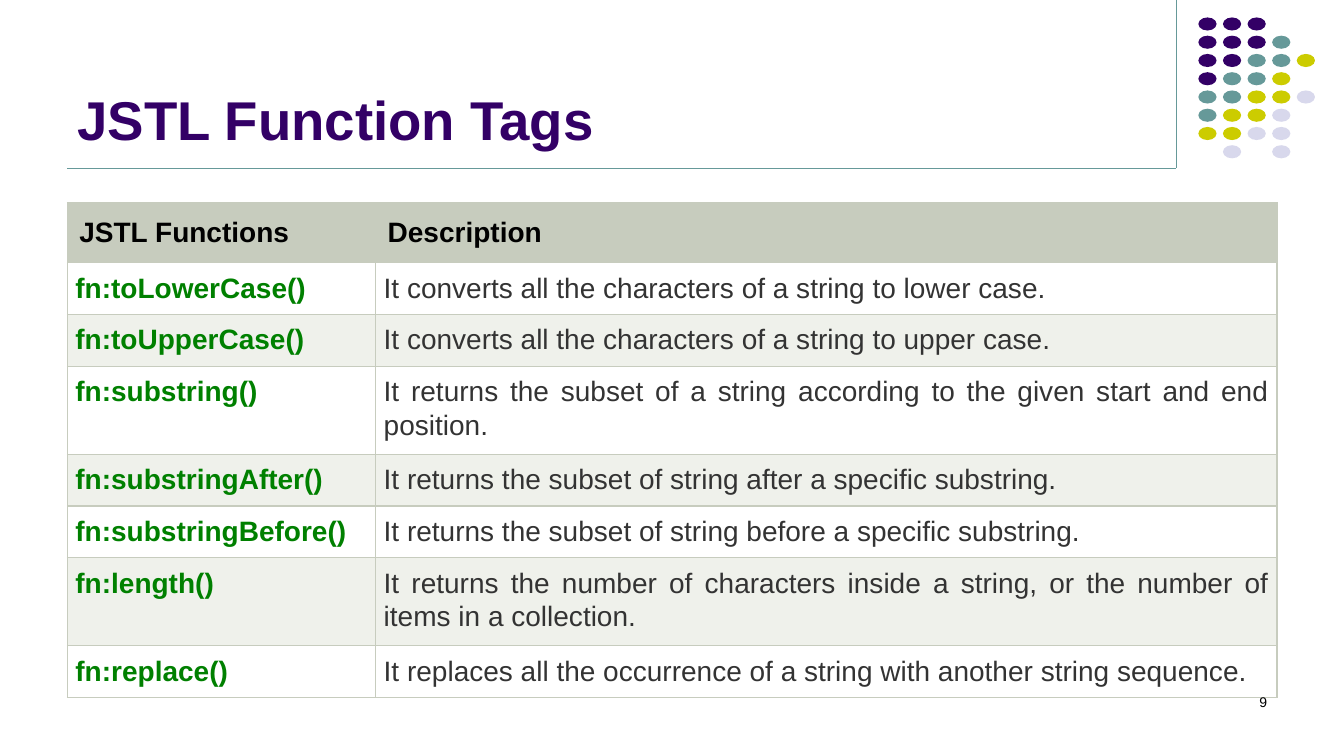
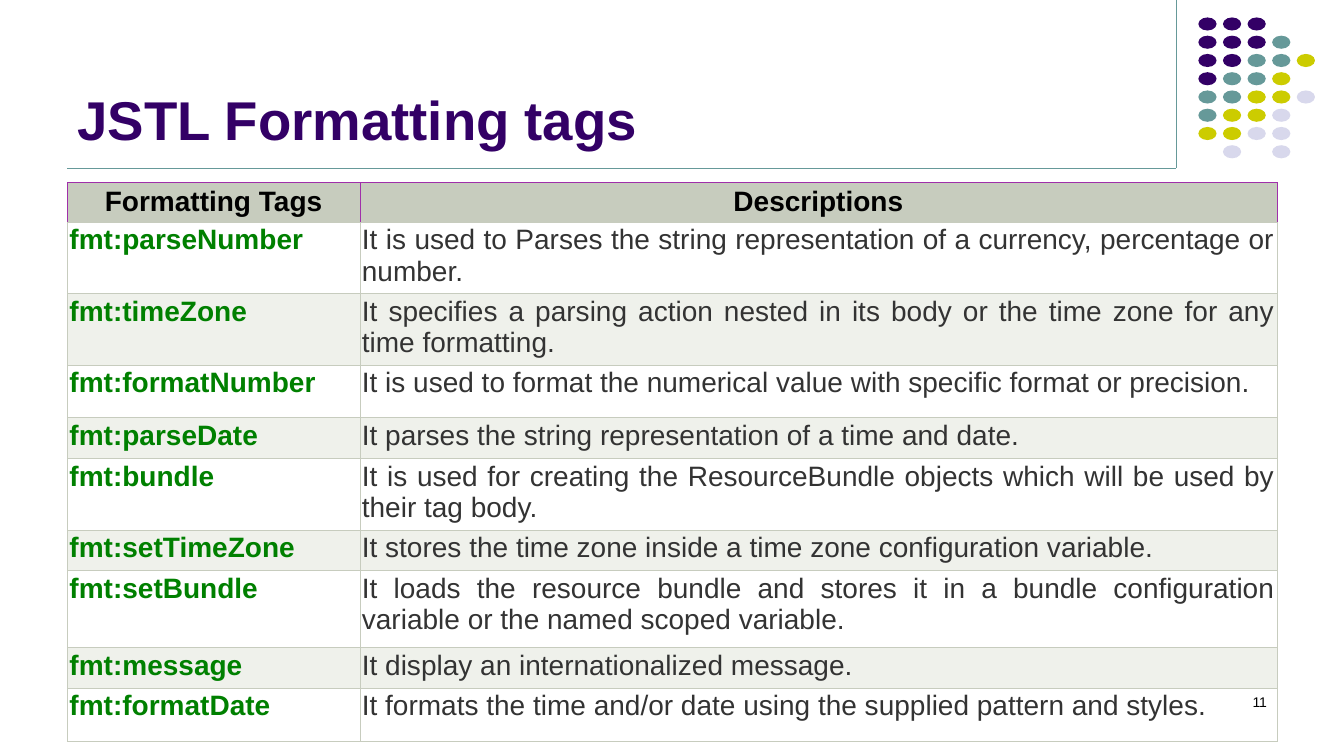
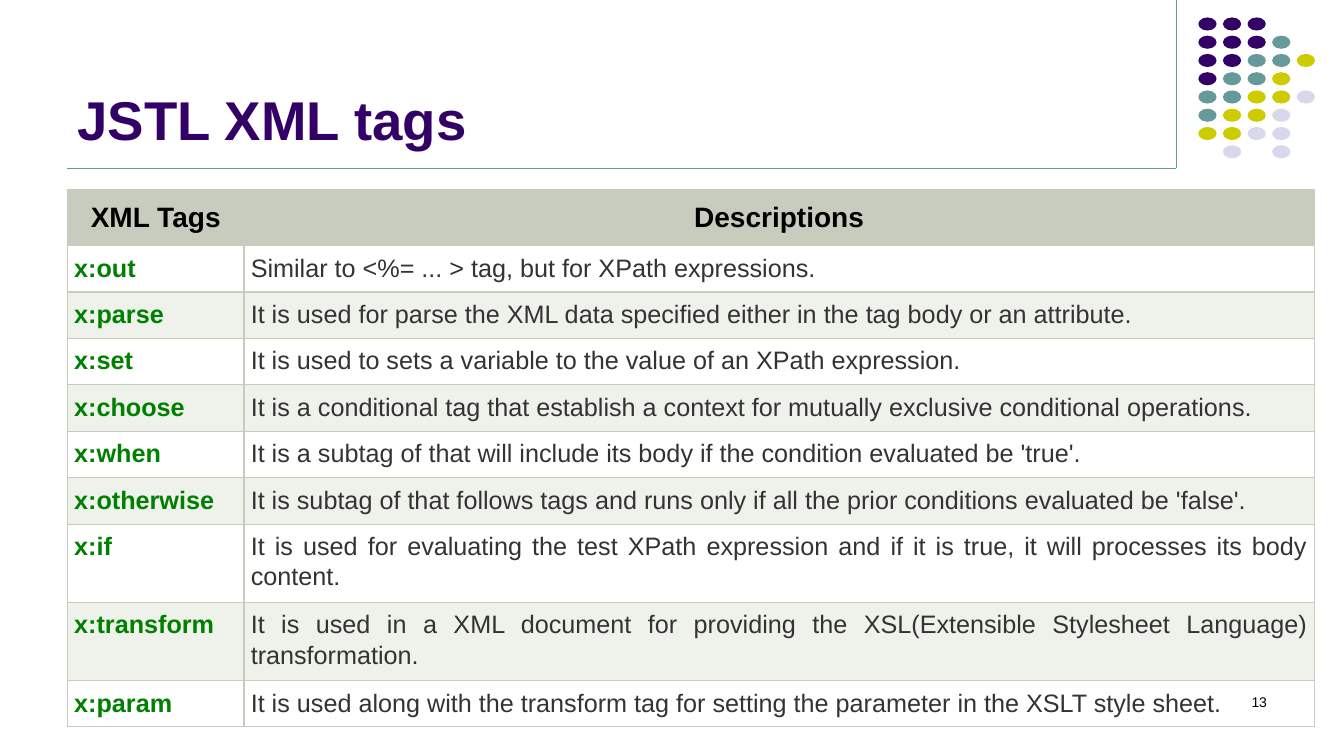
from lxml import etree
from pptx import Presentation
from pptx.dml.color import RGBColor
from pptx.enum import shapes, text
from pptx.oxml import ns
from pptx.util import Cm, Pt

FONT = "Arial"
PURPLE, TEAL, OLIVE, LAVENDER = "330066", "669999", "CCCC00", "D8D8EC"
SAGE, BAND, WHITE, BLACK = "C7CCBE", "EFF1EB", "FFFFFF", "000000"
GREEN, GREY, MAGENTA = "008000", "333333", "A02FAA"

LEFT, RULE_X, RULE_Y = 1.7, 29.64, 4.24
DOT_COLORS = {"P": PURPLE, "T": TEAL, "Y": OLIVE, "L": LAVENDER}
DOT_ROWS = ["PPP", "PPPT", "PPTTY", "PTTY", "TTYYL", "TYYL", "YYLL", " L L"]

SLIDES = [
    {
        "title": "JSTL Function Tags", "number": "9", "top": 5.11,
        "widths": [7.77, 22.71], "heights": [1.49, 1.27, 1.27, 2.11, 1.27, 1.27, 2.11, 1.27],
        "insets": [0.3, 0.2], "size": 20, "spacing": 1.07, "border": 1,
        "header_edge": SAGE, "header_align": text.PP_ALIGN.LEFT,
        "rows": [
            ("JSTL Functions", "Description"),
            ("fn:toLowerCase()", "It converts all the characters of a string to lower case."),
            ("fn:toUpperCase()", "It converts all the characters of a string to upper case."),
            ("fn:substring()", "It returns the subset of a string according to the given start and end position."),
            ("fn:substringAfter()", "It returns the subset of string after a specific substring."),
            ("fn:substringBefore()", "It returns the subset of string before a specific substring."),
            ("fn:length()", "It returns the number of characters inside a string, or the number of items in a collection."),
            ("fn:replace()", "It replaces all the occurrence of a string with another string sequence."),
        ],
    },
    {
        "title": "JSTL Formatting tags", "number": "11", "top": 4.6,
        "widths": [7.37, 23.11],
        "heights": [0.97, 1.68, 1.68, 1.33, 1.03, 1.68, 1.03, 1.94, 1.03, 1.33],
        "insets": [0.08, 0.05], "size": 20, "spacing": 1.0, "border": 0.5,
        "header_edge": MAGENTA, "header_align": text.PP_ALIGN.CENTER,
        "rows": [
            ("Formatting Tags", "Descriptions"),
            ("fmt:parseNumber", "It is used to Parses the string representation of a currency, percentage or number."),
            ("fmt:timeZone", "It specifies a parsing action nested in its body or the time zone for any time formatting."),
            ("fmt:formatNumber", "It is used to format the numerical value with specific format or precision."),
            ("fmt:parseDate", "It parses the string representation of a time and date."),
            ("fmt:bundle", "It is used for creating the ResourceBundle objects which will be used by their tag body."),
            ("fmt:setTimeZone", "It stores the time zone inside a time zone configuration variable."),
            ("fmt:setBundle", "It loads the resource bundle and stores it in a bundle configuration variable or the named scoped variable."),
            ("fmt:message", "It display an internationalized message."),
            ("fmt:formatDate", "It formats the time and/or date using the supplied pattern and styles."),
        ],
    },
    {
        "title": "JSTL XML tags", "number": "13", "top": 4.78,
        "widths": [4.45, 26.97], "heights": [1.32] + [1.17] * 6 + [1.86, 1.86, 1.09],
        "insets": [0.25, 0.17], "size": 18, "spacing": 1.07, "border": 1,
        "header_edge": SAGE, "header_align": text.PP_ALIGN.CENTER,
        "rows": [
            ("XML Tags", "Descriptions"),
            ("x:out", "Similar to <%= ... > tag, but for XPath expressions."),
            ("x:parse", "It is used for parse the XML data specified either in the tag body or an attribute."),
            ("x:set", "It is used to sets a variable to the value of an XPath expression."),
            ("x:choose", "It is a conditional tag that establish a context for mutually exclusive conditional operations."),
            ("x:when", "It is a subtag of that will include its body if the condition evaluated be 'true'."),
            ("x:otherwise", "It is subtag of that follows tags and runs only if all the prior conditions evaluated be 'false'."),
            ("x:if", "It is used for evaluating the test XPath expression and if it is true, it will processes its body content."),
            ("x:transform", "It is used in a XML document for providing the XSL(Extensible Stylesheet Language) transformation."),
            ("x:param", "It is used along with the transform tag for setting the parameter in the XSLT style sheet."),
        ],
    },
]


def paint(target, color):
    """Give a fill or a font a solid hex colour."""
    if hasattr(target, "solid"):
        target.solid()
        target = target.fore_color
    else:
        target = target.color
    target.rgb = RGBColor.from_string(color)


def write(tf, words, size, color, bold=False, align=text.PP_ALIGN.LEFT):
    """Set one paragraph of text and return it."""
    tf.word_wrap = True
    p = tf.paragraphs[0]
    p.text = words
    p.alignment = align
    font = p.runs[0].font
    font.name, font.size, font.bold = FONT, Pt(size), bold
    paint(font, color)
    return p


prs = Presentation()
prs.slide_width, prs.slide_height = Cm(33.87), Cm(19.05)

for page in SLIDES:
    s = prs.slides.add_slide(prs.slide_layouts[6])

    # Corner rules and dots
    for x, y in [(RULE_X, 0), (LEFT, RULE_Y)]:
        rule = s.shapes.add_connector(
            shapes.MSO_CONNECTOR.STRAIGHT, Cm(x), Cm(y), Cm(RULE_X), Cm(RULE_Y))
        rule.line.width = Pt(0.75)
        paint(rule.line.fill, TEAL)
        etree.SubElement(rule._element.spPr, ns.qn("a:effectLst"))

    dots = s.shapes.add_group_shape()
    for i, row in enumerate(DOT_ROWS):
        for j, key in enumerate(row):
            if key == " ":
                continue
            dot = dots.shapes.add_shape(
                shapes.MSO_SHAPE.OVAL, Cm(30.2 + 0.62 * j), Cm(0.44 + 0.46 * i), Cm(0.46), Cm(0.33))
            dot.shadow.inherit = False
            dot.line.fill.background()
            paint(dot.fill, DOT_COLORS[key])

    # Title
    tf = s.shapes.add_textbox(Cm(LEFT), Cm(0.33), Cm(27.94), Cm(3.61)).text_frame
    tf.vertical_anchor = text.MSO_ANCHOR.BOTTOM
    write(tf, page["title"], 39, PURPLE, bold=True)

    # Table
    widths, heights = page["widths"], page["heights"]
    table = s.shapes.add_table(
        len(heights), len(widths), Cm(LEFT), Cm(page["top"]), Cm(sum(widths)), Cm(sum(heights))).table
    table.horz_banding = table.first_row = False
    for column, width in zip(table.columns, widths):
        column.width = Cm(width)
    for i, (row, height) in enumerate(zip(table.rows, heights)):
        row.height = Cm(height)
        header = i == 0
        inset = Cm(page["insets"][0 if header else 1])
        for j, cell in enumerate(row.cells):
            cell.margin_left = cell.margin_right = inset
            cell.margin_top = cell.margin_bottom = inset
            tcPr = cell._tc.get_or_add_tcPr()
            for side in ("lnL", "lnR", "lnT", "lnB"):
                ln = etree.SubElement(tcPr, ns.qn("a:" + side), w=str(Pt(page["border"])))
                edge = page["header_edge"] if header and side != "lnB" else SAGE
                etree.SubElement(etree.SubElement(ln, ns.qn("a:solidFill")), ns.qn("a:srgbClr"), val=edge)
            if header:
                fill, color, size, align = SAGE, BLACK, 20, page["header_align"]
            else:
                fill, color = (WHITE, BAND)[(i - 1) % 2], (GREEN, GREY)[j]
                size, align = page["size"], text.PP_ALIGN.JUSTIFY
            paint(cell.fill, fill)
            p = write(cell.text_frame, page["rows"][i][j], size, color, header or j == 0, align)
            p.line_spacing = page["spacing"]

    # Slide number
    tf = s.shapes.add_textbox(Cm(24.28), Cm(17.35), Cm(7.9), Cm(1.27)).text_frame
    write(tf, page["number"], 10, BLACK, align=text.PP_ALIGN.RIGHT)

prs.save("out.pptx")
